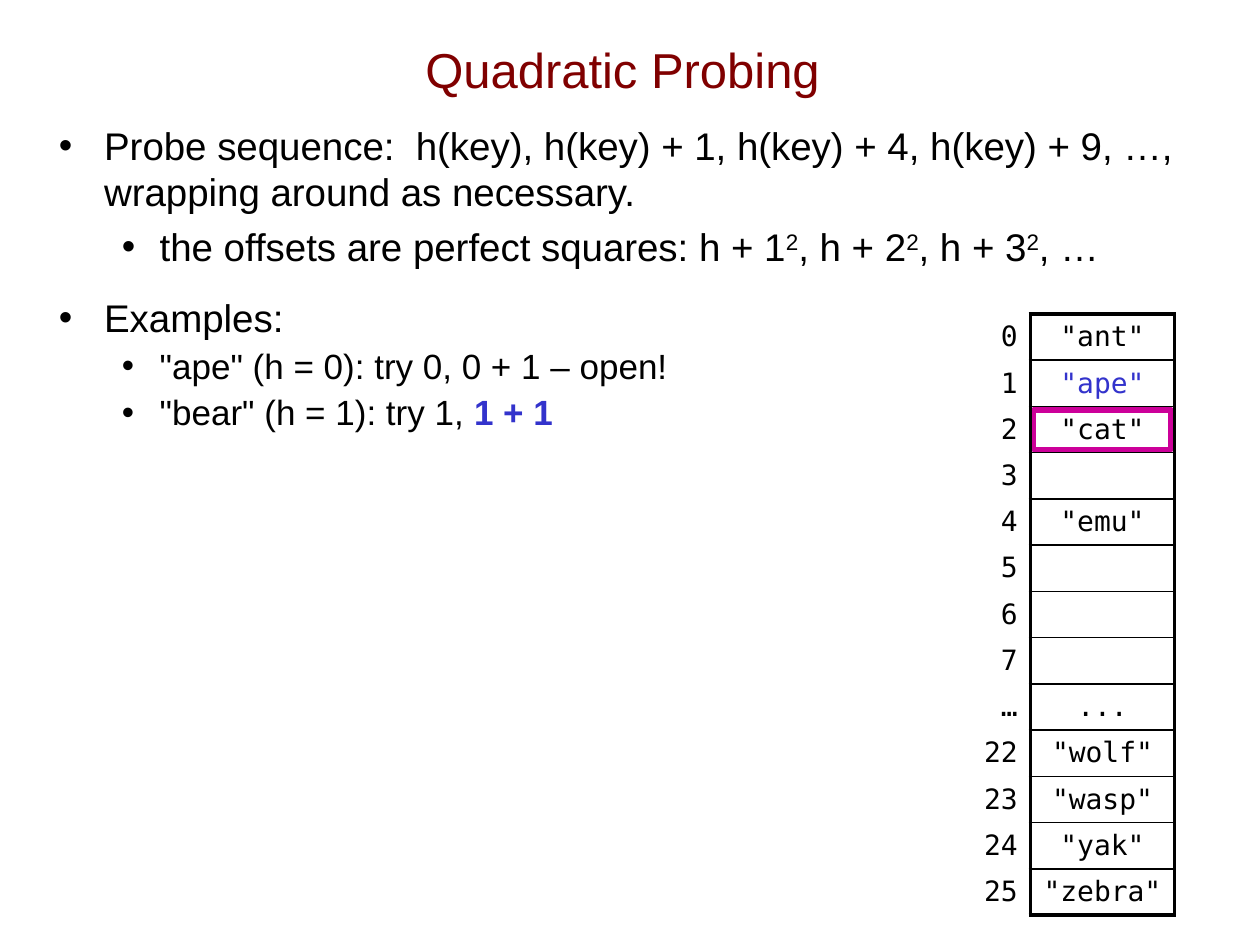
from dataclasses import dataclass

from lxml.etree import SubElement
from pptx import Presentation
from pptx.dml.color import RGBColor as RGB
from pptx.enum.shapes import MSO_SHAPE as SHAPE
from pptx.enum.text import MSO_ANCHOR as ANCHOR, PP_ALIGN as ALIGN
from pptx.oxml.ns import qn
from pptx.util import Cm, Pt


@dataclass(frozen=True)
class Theme:
    sans: str = "Arial"
    mono: str = "DejaVu Sans Mono"
    black: str = "000000"
    title: str = "800000"
    accent: str = "3333CC"
    probe: str = "CC0099"
    title_size: float = 28
    body_size: float = 22
    example_size: float = 20
    cell_size: float = 16
    thick: float = 2.25
    thin: float = 1


T = Theme()

# Each bullet: level, size, line spacing, runs of (text, style)
SQUARED = ("2", "super")
BULLETS = [
    (0, T.body_size, None, [
        ("Probe sequence:  h(key), h(key) + 1, h(key) + 4, h(key) + 9, …, ", ""),
        ("wrapping around as necessary.", "newline")]),
    (1, T.body_size, None, [
        ("the offsets are perfect squares: h + 1", ""), SQUARED,
        (", h + 2", ""), SQUARED, (", h + 3", ""), SQUARED, (", …", "")]),
    (0, T.body_size, None, [("Examples:", "")]),
    (1, T.example_size, 0.9, [('"ape" (h = 0): try 0, 0 + 1 – open!', "")]),
    (1, T.example_size, 0.9, [('"bear" (h = 1): try 1, ', ""), ("1 + 1", "accent")]),
]
# Per level: left margin, hanging indent, space before
LEVELS = [(Cm(0.91), Cm(-0.91), Pt(14)), (Cm(2.03), Cm(-0.76), Pt(5))]

HASH_TABLE = [
    ("0", '"ant"'), ("1", '"ape"'), ("2", '"cat"'), ("3", ""), ("4", '"emu"'),
    ("5", ""), ("6", ""), ("7", ""), ("…", "..."), ("22", '"wolf"'),
    ("23", '"wasp"'), ("24", '"yak"'), ("25", '"zebra"'),
]
INSERTED = '"ape"'
PROBED_ROW = 2


def add_run(p, text, size, color=T.black, font=T.sans, bold=None):
    r = p.add_run()
    r.text = text
    r.font.name, r.font.size, r.font.bold = font, Pt(size), bold
    r.font.color.rgb = RGB.from_string(color)
    return r


def add_text_frame(s, box):
    tf = s.shapes.add_textbox(*box).text_frame
    tf.word_wrap = True
    return tf


def add_title(s, box, text):
    tf = add_text_frame(s, box)
    tf.vertical_anchor = ANCHOR.MIDDLE
    p = tf.paragraphs[0]
    p.alignment = ALIGN.CENTER
    add_run(p, text, T.title_size, T.title)


def set_bullet(p, level):
    margin, indent, _ = LEVELS[level]
    p.level = level
    pPr = p._p.get_or_add_pPr()
    pPr.set("marL", str(margin))
    pPr.set("indent", str(indent))
    SubElement(SubElement(pPr, qn("a:buClr")), qn("a:srgbClr"), val=T.black)
    SubElement(pPr, qn("a:buFont"), typeface=T.sans)
    SubElement(pPr, qn("a:buChar"), char="•")


def add_bullets(s, box, bullets):
    tf = add_text_frame(s, box)
    for i, (level, size, spacing, runs) in enumerate(bullets):
        p = tf.add_paragraph() if i else tf.paragraphs[0]
        set_bullet(p, level)
        p.space_before = LEVELS[level][2] if i else Pt(0)
        p.line_spacing = spacing
        for text, style in runs:
            if style == "newline":
                p.add_line_break()
            accent = style == "accent"
            r = add_run(p, text, size, T.accent if accent else T.black,
                        bold=accent or None)
            if style == "super":
                r._r.get_or_add_rPr().set("baseline", "30000")


def set_borders(cell, **widths):
    """Border widths in points for L, R, T and B; sides left out get no line."""
    tcPr = cell._tc.get_or_add_tcPr()
    for side in "LRTB":
        width = widths.get(side, 0)
        ln = SubElement(tcPr, qn(f"a:ln{side}"), w=str(Pt(width)))
        if width:
            fill = SubElement(ln, qn("a:solidFill"))
            SubElement(fill, qn("a:srgbClr"), val=T.black)
        else:
            SubElement(ln, qn("a:noFill"))


def fill_cell(cell, text, align, color=T.black):
    cell.fill.background()
    cell.vertical_anchor = ANCHOR.MIDDLE
    cell.margin_top = cell.margin_bottom = 0
    p = cell.text_frame.paragraphs[0]
    p.alignment = align
    if text:
        add_run(p, text, T.cell_size, color, T.mono)


def add_probe_mark(s, box):
    sp = s.shapes.add_shape(SHAPE.RECTANGLE, *box)
    sp.shadow.inherit = False
    sp.fill.background()
    sp.line.color.rgb = RGB.from_string(T.probe)
    sp.line.width = Pt(3)


def add_hash_table(s, box, rows):
    left, top, width, height = box
    col_w, row_h, gap = width // 2, height // len(rows), Cm(0.07)
    add_probe_mark(s, (left + col_w + gap, top + PROBED_ROW * row_h + gap,
                       col_w - 2 * gap, row_h - 2 * gap))

    table = s.shapes.add_table(len(rows), 2, *box).table
    table.first_row = table.horz_banding = False
    for col in table.columns:
        col.width = col_w
    last = len(rows) - 1
    for i, (index, key) in enumerate(rows):
        table.rows[i].height = row_h
        index_cell, key_cell = table.cell(i, 0), table.cell(i, 1)
        set_borders(index_cell, R=T.thick)
        set_borders(key_cell, L=T.thick, R=T.thick,
                    T=T.thin if i else T.thick,
                    B=T.thin if i < last else T.thick)
        fill_cell(index_cell, index, ALIGN.RIGHT)
        fill_cell(key_cell, key, ALIGN.CENTER,
                  T.accent if key == INSERTED else T.black)


def main():
    prs = Presentation()
    prs.slide_width, prs.slide_height = Cm(25.4), Cm(19.05)
    s = prs.slides.add_slide(prs.slide_layouts[6])
    add_title(s, (Cm(1.63), Cm(0.2), Cm(21.84), Cm(2.36)), "Quadratic Probing")
    add_bullets(s, (Cm(0.94), Cm(2.34), Cm(23.5), Cm(15.6)), BULLETS)
    add_hash_table(s, (Cm(17.86), Cm(6.33), Cm(5.82), Cm(12.12)), HASH_TABLE)
    prs.save("out.pptx")


if __name__ == "__main__":
    main()
